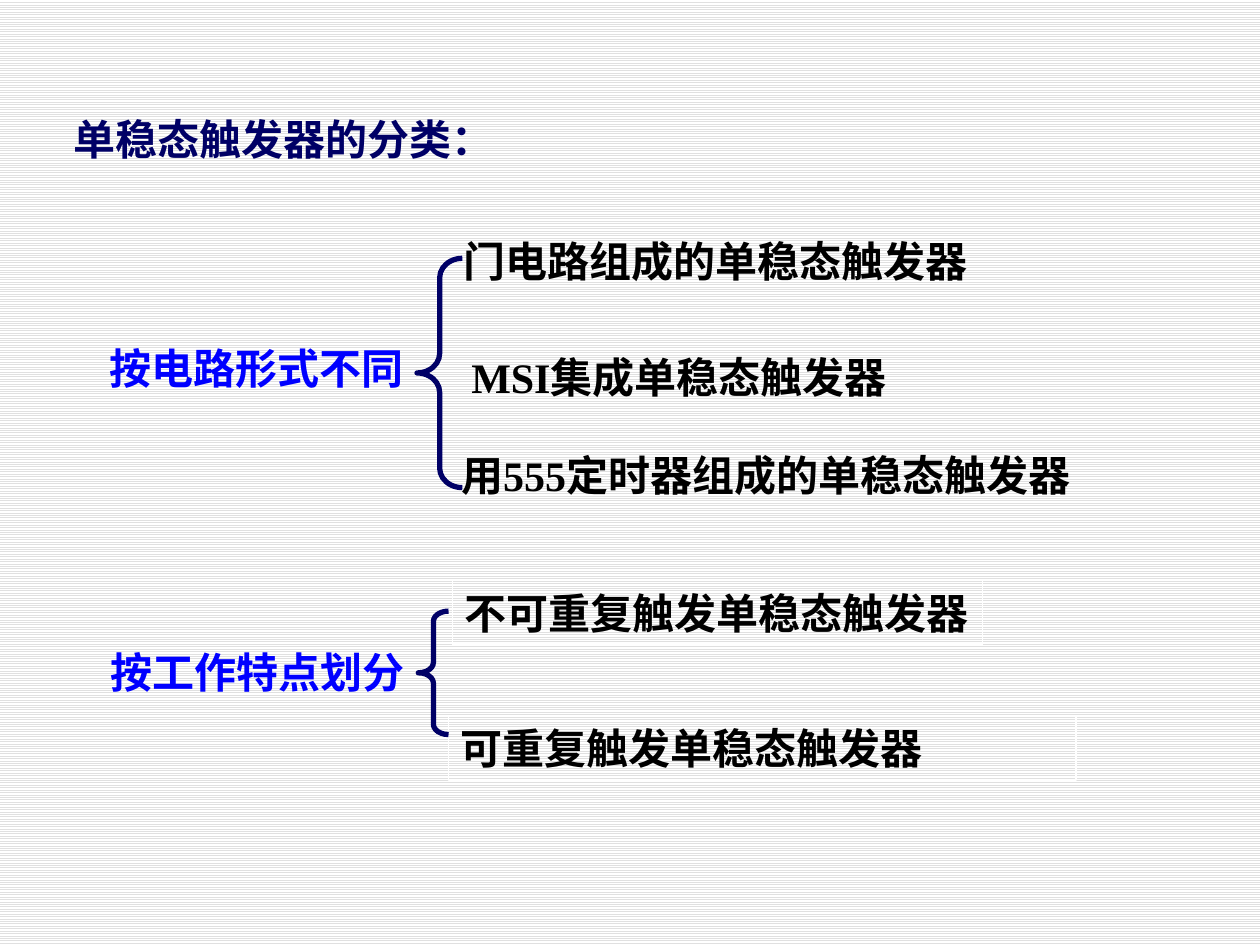
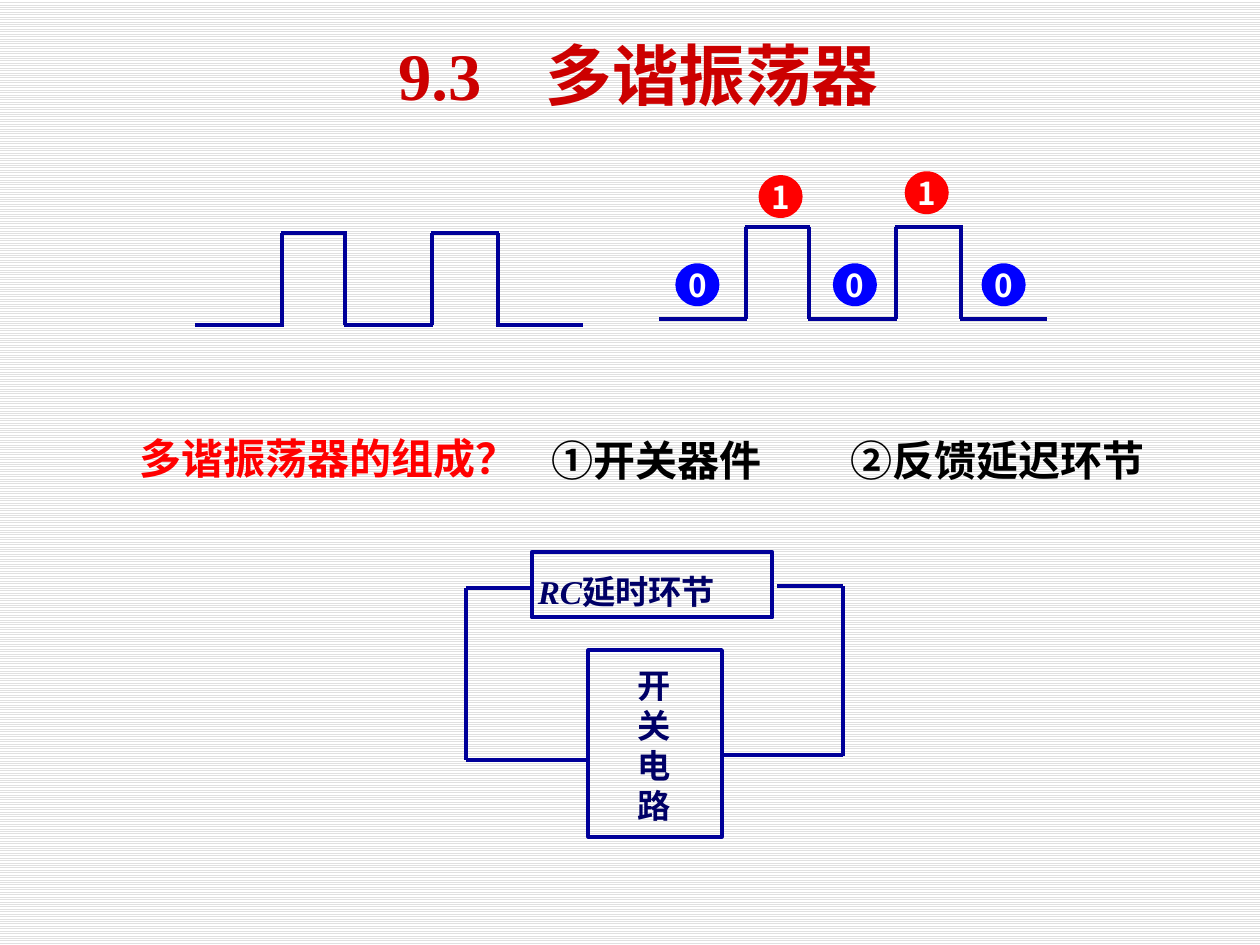
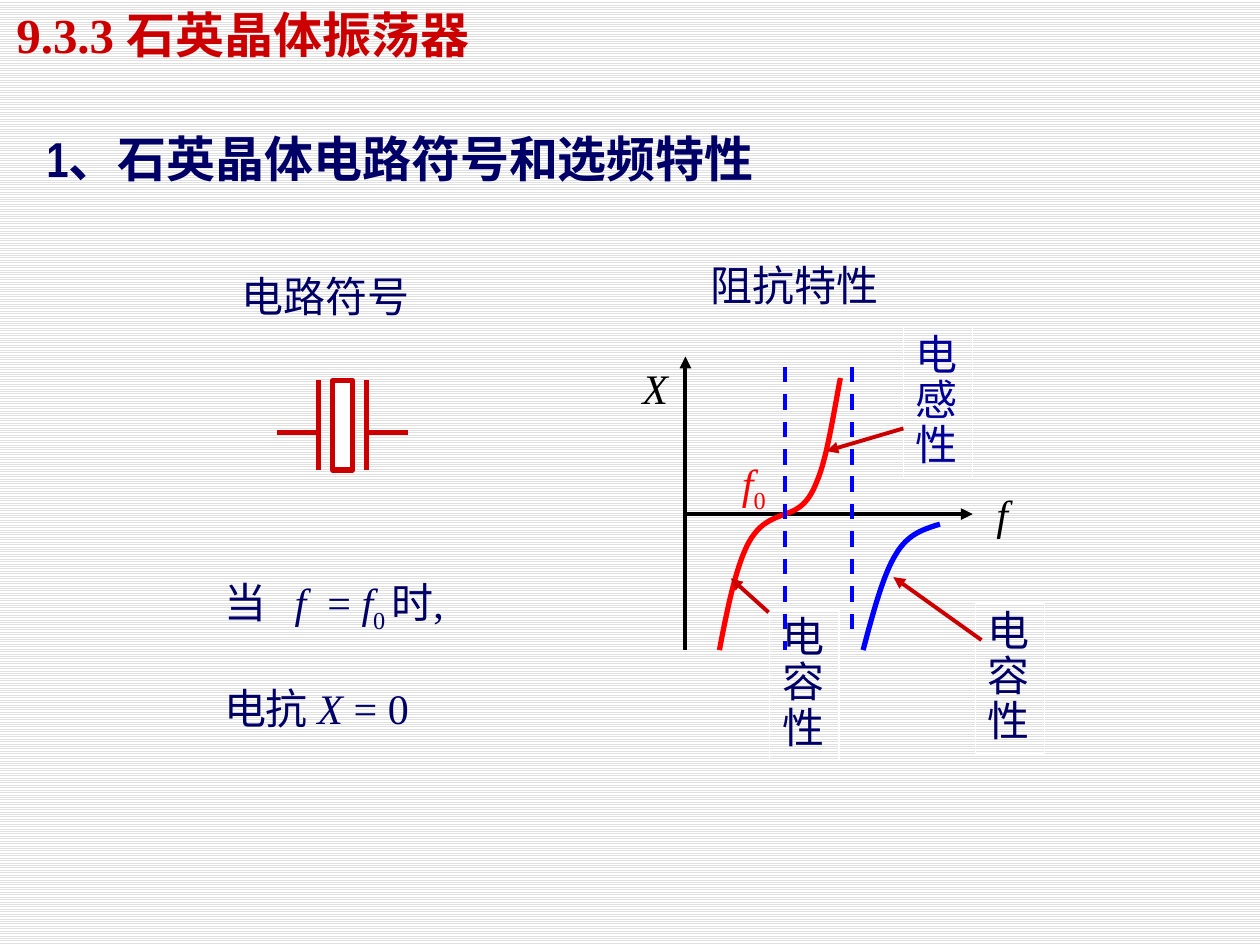
from itertools import pairwise

from lxml import etree
from pptx import Presentation
from pptx.dml.color import RGBColor
from pptx.enum.dml import MSO_LINE, MSO_PATTERN
from pptx.enum.shapes import MSO_CONNECTOR, MSO_SHAPE
from pptx.enum.text import MSO_ANCHOR as ANCHOR, PP_ALIGN as ALIGN
from pptx.oxml.ns import qn
from pptx.util import Pt

PX = 9144  # 100 px to the inch
NARROW, TIMES, CJK = "Arial Narrow", "Times New Roman", "Noto Sans CJK SC"
COLORS = {
    "stripe": "E0E0E0", "white": "FFFFFF", "black": "000000",
    "navy": "000066", "wire": "000099", "blue": "0000FF",
    "title": "CC0000", "red": "FF0000",
}
INSETS = (10, 5, 10, 5)


def rgb(name):
    return RGBColor.from_string(COLORS[name])


def px(*lengths):
    return [round(length * PX) for length in lengths]


def set_background(master):
    fill = master.background.fill
    fill.patterned()
    fill.pattern = MSO_PATTERN.LIGHT_HORIZONTAL
    fill.fore_color.rgb = rgb("stripe")
    fill.back_color.rgb = rgb("white")


def add_tabs(paragraph, stops):
    tab_list = etree.SubElement(paragraph._p.get_or_add_pPr(), qn("a:tabLst"))
    for stop in stops:
        etree.SubElement(tab_list, qn("a:tab"), pos=str(stop * PX), algn="l")


def write(shape, paragraphs, size=24, color="black", bold=False, font=TIMES,
          anchor=ANCHOR.TOP, align=ALIGN.LEFT, insets=INSETS, spacing=None,
          gap=0, tabs=()):
    """Fill a shape; a paragraph is a string or a list of (text, style, font) runs."""
    frame = shape.text_frame
    frame.word_wrap = True
    frame.vertical_anchor = anchor
    (frame.margin_left, frame.margin_top,
     frame.margin_right, frame.margin_bottom) = px(*insets)
    for index, content in enumerate(paragraphs):
        paragraph = frame.add_paragraph() if index else frame.paragraphs[0]
        paragraph.alignment = align
        if spacing:
            paragraph.line_spacing = spacing
        if index and gap:
            paragraph.space_before = Pt(gap)
        if tabs:
            add_tabs(paragraph, tabs)
        runs = [(content, "", font)] if isinstance(content, str) else content
        for text, style, name in runs:
            run = paragraph.add_run()
            run.text = text
            run.font.size = Pt(size)
            run.font.bold = bold
            run.font.italic = style == "italic"
            run.font.color.rgb = rgb(color)
            run.font.name = name
            properties = run._r.get_or_add_rPr()
            etree.SubElement(properties, qn("a:ea"), typeface=CJK)
            if style == "sub":
                properties.set("baseline", "-25000")


def add_title(slide, text, box, **style):
    title = slide.shapes.title
    title.left, title.top, title.width, title.height = px(*box)
    write(title, [text], bold=True, **style)


def add_text(shapes, paragraphs, box, **style):
    write(shapes.add_textbox(*px(*box)), paragraphs, **style)


def paint(shape, fill=None, line=None, width=2.25):
    shape.shadow.inherit = False
    if fill:
        shape.fill.solid()
        shape.fill.fore_color.rgb = rgb(fill)
    else:
        shape.fill.background()
    if line:
        shape.line.color.rgb = rgb(line)
        shape.line.width = Pt(width)
    else:
        shape.line.fill.background()


def add_box(shapes, box, kind=MSO_SHAPE.RECTANGLE, **look):
    shape = shapes.add_shape(kind, *px(*box))
    paint(shape, **look)
    return shape


def add_label(shapes, paragraphs, box, **style):
    """Text in a thin white frame."""
    write(add_box(shapes, box, line="white", width=0.75), paragraphs, **style)


def add_brace(shapes, box, curve):
    brace = add_box(shapes, box, MSO_SHAPE.LEFT_BRACE, line="navy", width=3)
    brace.adjustments[0] = curve


def add_line(shapes, ends, color="wire", width=2.25, dashed=False, arrow=False):
    connector = shapes.add_connector(MSO_CONNECTOR.STRAIGHT, *px(*ends))
    line = connector.line
    line.color.rgb = rgb(color)
    line.width = Pt(width)
    if dashed:
        line.dash_style = MSO_LINE.DASH
    properties = connector._element.spPr
    if arrow:
        etree.SubElement(properties.find(qn("a:ln")), qn("a:tailEnd"), type="triangle")
    etree.SubElement(properties, qn("a:effectLst"))


def add_curve(shapes, points, color, steps=16):
    """Draw cubic Bezier pieces that share their end points."""
    outline = [points[0]]
    for first in range(0, len(points) - 1, 3):
        piece = points[first:first + 4]
        for step in range(1, steps + 1):
            t = step / steps
            weights = ((1 - t) ** 3, 3 * t * (1 - t) ** 2, 3 * t * t * (1 - t), t ** 3)
            outline.append([sum(w * p[axis] for w, p in zip(weights, piece))
                            for axis in (0, 1)])
    start, *rest = [px(*point) for point in outline]
    builder = shapes.build_freeform(*start)
    builder.add_line_segments(rest, close=False)
    paint(builder.convert_to_shape(), line=color, width=3)


def add_square_wave(shapes, left, low):
    high = low - 73
    edges = [left + offset for offset in (0, 68, 118, 187, 239, 306)]
    for index, (start, end) in enumerate(pairwise(edges)):
        level = high if index % 2 else low
        add_line(shapes, (start - 1, level, end + 1, level))
    for edge in edges[1:-1]:
        add_line(shapes, (edge, low, edge, high))


def add_state(shapes, digit, left, top):
    circle = add_box(shapes, (left, top, 35, 34), MSO_SHAPE.OVAL,
                     fill="red" if digit == "1" else "blue")
    write(circle, [digit], size=18, color="white", bold=True, font=CJK,
          anchor=ANCHOR.MIDDLE, align=ALIGN.CENTER, insets=(0, 0, 0, 0))


def build_classification(slide):
    shapes = slide.shapes
    add_title(slide, "单稳态触发器的分类：", (48, 85, 385, 50), color="navy", font=NARROW)
    circuits = (
        ([("门电路组成的单稳态触发器", "", NARROW)], (368, 187, 446, 45)),
        ([("MSI", "", TIMES), ("集成单稳态触发器", "", NARROW)], (374, 279, 395, 45)),
        ([("用555", "", TIMES), ("定时器组成的单稳态触发器", "", NARROW)],
         (366, 357, 538, 45)),
    )
    for runs, box in circuits:
        add_text(shapes, [runs], box, bold=True, anchor=ANCHOR.MIDDLE, insets=(0, 0, 0, 5))
    for text, box in (("不可重复触发单稳态触发器", (359, 461, 421, 51)),
                      ("可重复触发单稳态触发器", (356, 568, 498, 51))):
        add_label(shapes, [text], box, bold=True, font=CJK, anchor=ANCHOR.MIDDLE)
    for text, box in (("按电路形式不同", (77, 267, 256, 50)),
                      ("按工作特点划分", (78, 508, 256, 50))):
        add_text(shapes, [text], box, color="blue", bold=True)
    add_brace(shapes, (331, 205, 36, 182), 0.43)
    add_brace(shapes, (332, 485, 24, 98), 0.34)


def add_feedback_loop(shapes):
    add_box(shapes, (467, 516, 106, 148), line="wire")
    add_box(shapes, (422, 438, 191, 52), line="wire")
    left, right = 370, 669
    for ends in ((left, 603, 467, 603), (left, 467, 422, 467), (left, 467, left, 603),
                 (right, 465, right, 600), (617, 465, right, 465), (573, 599, right, 599)):
        add_line(shapes, ends)
    style = dict(size=19, color="navy", bold=True, anchor=ANCHOR.MIDDLE)
    add_text(shapes, ["开关电路"], (496, 528, 41, 127), font=NARROW, **style)
    add_text(shapes, [[("RC", "italic", TIMES), ("延时环节", "", TIMES)]],
             (417, 428, 216, 82), **style)


def build_multivibrator(slide):
    shapes = slide.shapes
    add_title(slide, "9.3\t多谐振荡器", (306, 18, 421, 82), size=38, color="title",
              anchor=ANCHOR.MIDDLE, tabs=[117])
    add_feedback_loop(shapes.add_group_shape().shapes)
    for left, low in ((156, 258), (524, 253)):
        add_square_wave(shapes.add_group_shape().shapes, left, low)
    for digit, left, top in (("0", 536, 209), ("1", 602, 139), ("0", 661, 209),
                             ("1", 718, 136), ("0", 779, 209)):
        add_state(shapes, digit, left, top)
    add_text(shapes, ["多谐振荡器的组成？"], (101, 338, 331, 50), color="red", bold=True)
    add_text(shapes, ["①开关器件"], (428, 340, 203, 50), bold=True, font=NARROW)
    add_text(shapes, ["②反馈延迟环节"], (663, 340, 257, 50), bold=True, font=NARROW,
             align=ALIGN.CENTER)


def add_crystal_symbol(shapes):
    add_text(shapes, ["电路符号"], (182, 210, 162, 50), color="navy", anchor=ANCHOR.MIDDLE)
    add_box(shapes, (264, 302, 16, 71), fill="white", line="title", width=3)
    for plate, lead in ((253, 220), (291, 324)):
        add_line(shapes, (plate, 302, plate, 373), "title", 3)
        add_line(shapes, (lead, 343, plate, 343), "title", 3)


def add_reactance_plot(shapes):
    add_text(shapes, ["阻抗特性"], (554, 201, 186, 50), color="navy", anchor=ANCHOR.MIDDLE)
    add_line(shapes, (544, 408, 772, 408), "black", arrow=True)
    add_line(shapes, (544, 516, 544, 283), "black", arrow=True)
    add_curve(shapes, [(623, 408), (613, 412), (602, 415), (593, 433),
                       (584, 451), (577, 484), (571, 516)], "red")
    add_curve(shapes, [(623, 408), (632, 405), (641, 401), (648, 383),
                       (656, 365), (661, 332), (667, 300)], "red")
    add_curve(shapes, [(746, 416), (734, 420), (721, 423), (711, 440),
                       (701, 456), (693, 486), (685, 516)], "blue")
    for x, bottom in ((676, 508), (623, 516)):
        add_line(shapes, (x, 291, x, bottom), "blue", dashed=True)
    add_text(shapes, [[("f", "italic", TIMES)]], (781, 383, 54, 50))
    add_text(shapes, [[("X", "italic", TIMES)]], (500, 283, 42, 50))
    add_text(shapes, [[("f", "italic", TIMES), ("0", "sub", TIMES)]],
             (579, 358, 54, 50), color="red")
    regions = (("电感性", 717, 260, "wire", (717, 340, 656, 358)),
               ("电容性", 611, 484, "navy", (610, 486, 580, 459)),
               ("电容性", 774, 479, "navy", (779, 508, 709, 458)))
    for name, left, top, color, pointer in regions:
        add_label(shapes, list(name), (left, top, 55, 119), color=color, spacing=0.9)
        add_line(shapes, pointer, "title", arrow=True)


def build_crystal(slide):
    shapes = slide.shapes
    add_title(slide, "9.3.3 石英晶体振荡器", (3, -2, 683, 58), size=28, color="title",
              anchor=ANCHOR.MIDDLE)
    add_text(shapes, ["1、石英晶体电路符号和选频特性"], (27, 91, 717, 69), size=28,
             color="navy", bold=True, font=NARROW, anchor=ANCHOR.MIDDLE)
    add_crystal_symbol(shapes.add_group_shape().shapes)
    add_reactance_plot(shapes.add_group_shape().shapes)
    resonance = [("当\t", "", TIMES), ("f\t", "italic", TIMES), ("= ", "", TIMES),
                 ("f", "italic", TIMES), ("0 ", "sub", TIMES), ("时,", "", TIMES)]
    reactance = [("电抗 ", "", TIMES), ("X ", "italic", TIMES), ("= 0", "", TIMES)]
    add_text(shapes, [resonance, reactance], (168, 453, 233, 130), color="navy",
             gap=27.5, tabs=[56, 82])


def main():
    presentation = Presentation()
    presentation.slide_width, presentation.slide_height = px(1000, 750)
    set_background(presentation.slide_master)
    title_only = presentation.slide_layouts[5]
    for build in (build_classification, build_multivibrator, build_crystal):
        build(presentation.slides.add_slide(title_only))
    presentation.save("out.pptx")


if __name__ == "__main__":
    main()
